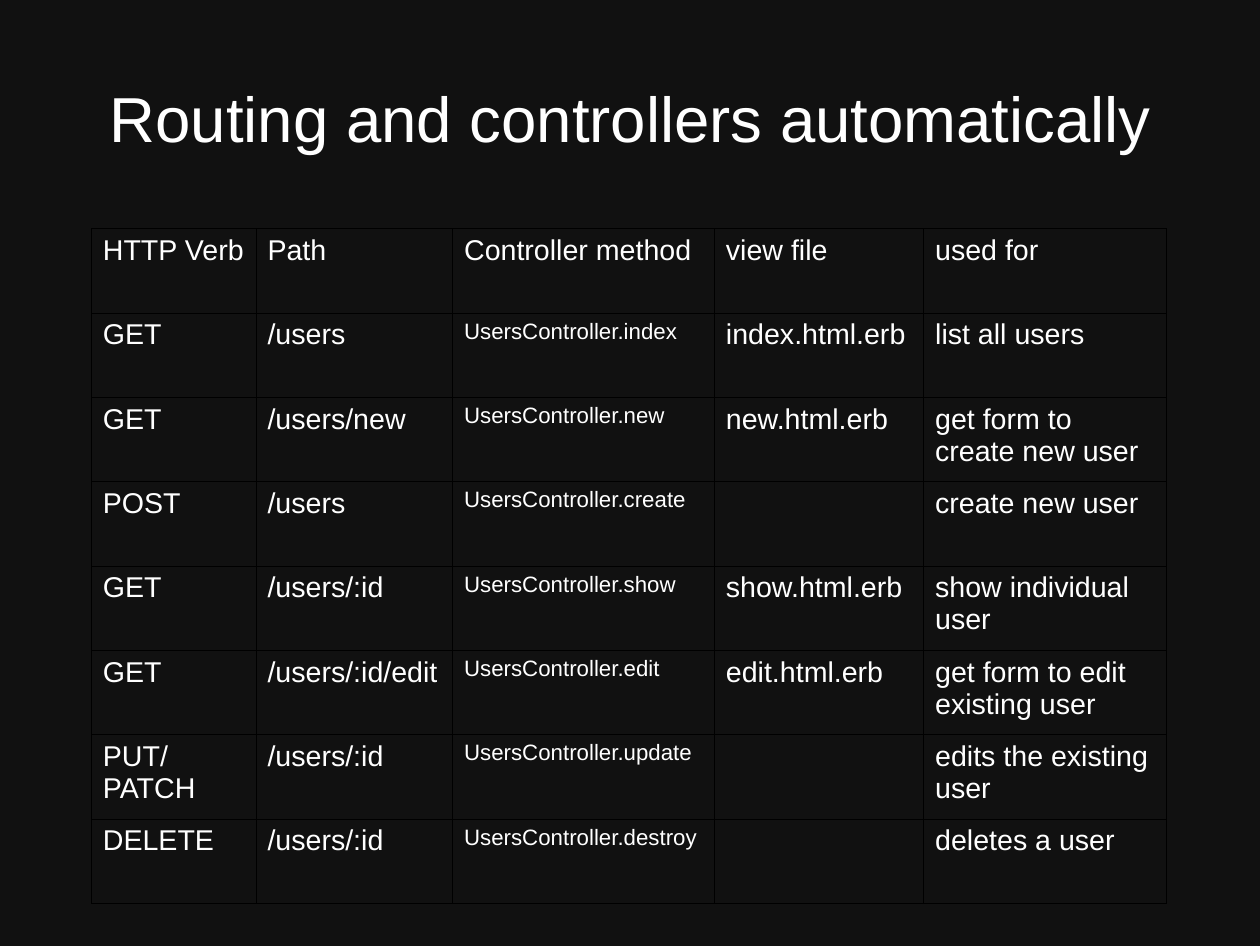
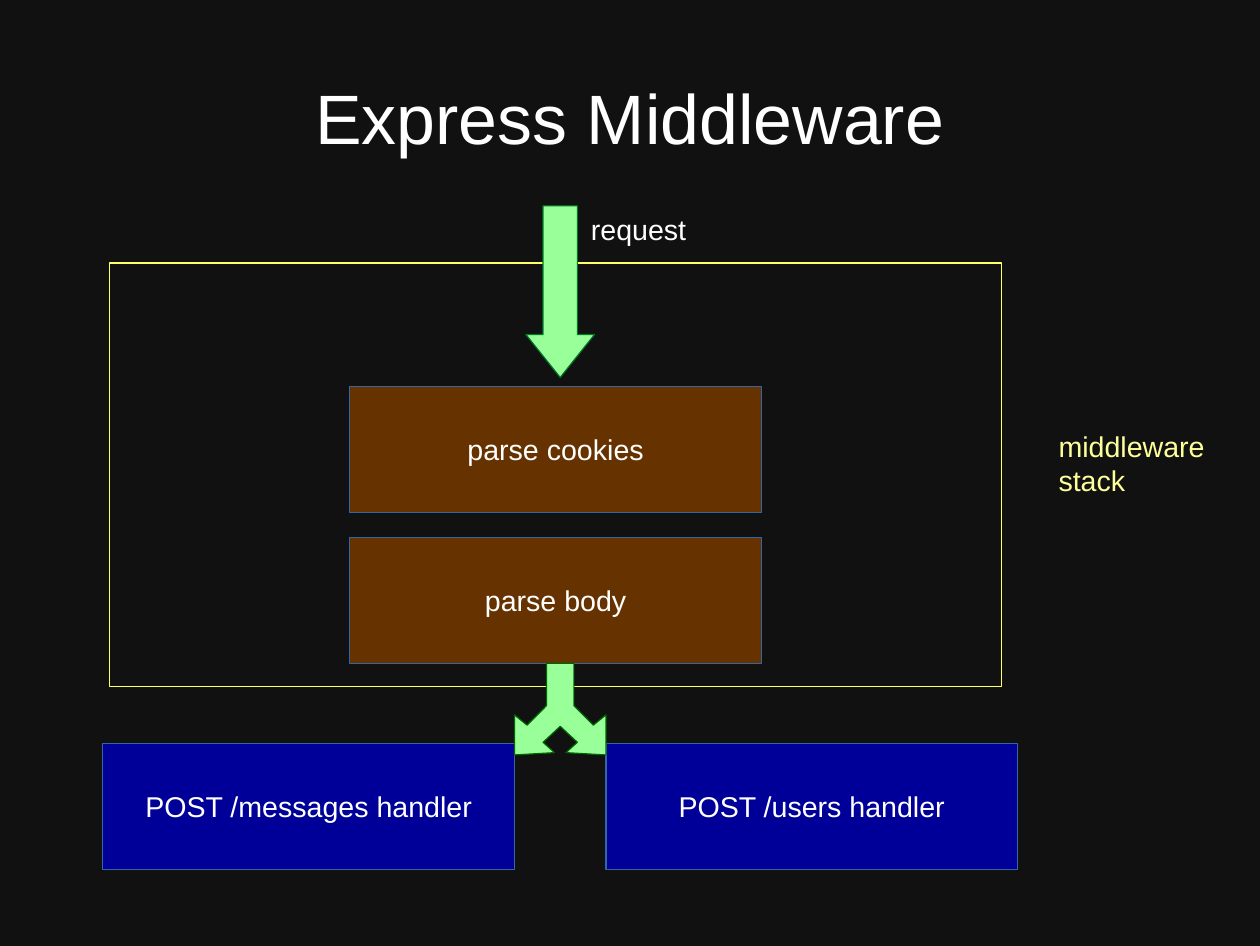
from pptx import Presentation
from pptx.dml.color import RGBColor as RGB
from pptx.enum.shapes import MSO_SHAPE as SHAPE
from pptx.enum.text import MSO_ANCHOR as ANCHOR, PP_ALIGN as ALIGN
from pptx.oxml import parse_xml
from pptx.oxml.ns import nsdecls
from pptx.util import Inches, Pt

FONT = "Arial"
COLORS = {
    "background": "111111",
    "text": "FFFFFF",
    "grid": "000000",
    "handler": "000099",
    "parser": "663300",
    "box_line": "3465A4",
    "stack_line": "FFFF66",
    "stack_text": "FFFF99",
    "arrow": "99FF99",
    "arrow_line": "007826",
    "split_line": "006600",
}

COL_WIDTHS = [1.44, 1.72, 2.29, 1.83, 2.12]
TABLE_H = 5.9
METHOD_COL = 2
ROUTES = [
    ("HTTP Verb", "Path", "Controller method", "view file", "used for"),
    ("GET", "/users", "UsersController.index", "index.html.erb", "list all users"),
    ("GET", "/users/new", "UsersController.new", "new.html.erb", "get form to create new user"),
    ("POST", "/users", "UsersController.create", "", "create new user"),
    ("GET", "/users/:id", "UsersController.show", "show.html.erb", "show individual user"),
    ("GET", "/users/:id/edit", "UsersController.edit", "edit.html.erb",
     "get form to edit existing user"),
    ("PUT/\nPATCH", "/users/:id", "UsersController.update", "", "edits the existing user"),
    ("DELETE", "/users/:id", "UsersController.destroy", "", "deletes a user"),
]

BOX_W, BOX_H = 3.6, 1.1
SPLIT_X = 4.9
SPLIT_HALF = [(0.12, 5.8), (0.12, 6.17), (0.29, 6.34), (0.4, 6.25),
              (0.4, 6.6), (0.05, 6.58), (0.15, 6.49), (0, 6.35)]


def rgb(name):
    return RGB.from_string(COLORS[name])


def write(tf, text, size=18, color="text", align=ALIGN.LEFT):
    tf.text = text
    for p in tf.paragraphs:
        p.alignment = align
        for r in p.runs:
            r.font.name = FONT
            r.font.size = Pt(size)
            r.font.color.rgb = rgb(color)


def add_slide(prs, title, size):
    s = prs.slides.add_slide(prs.slide_layouts[6])
    tf = s.shapes.add_textbox(Inches(0.55), Inches(0.33), Inches(9.92), Inches(1.38)).text_frame
    tf.word_wrap = True
    tf.vertical_anchor = ANCHOR.MIDDLE
    tf.margin_left = tf.margin_right = tf.margin_top = tf.margin_bottom = 0
    write(tf, title, size, align=ALIGN.CENTER)
    return s


def style(sp, fill, line):
    sp.shadow.inherit = False
    if fill:
        sp.fill.solid()
        sp.fill.fore_color.rgb = rgb(fill)
    else:
        sp.fill.background()
    sp.line.color.rgb = rgb(line)
    sp.line.width = Pt(0)


def add_shape(s, kind, x, y, w, h, fill, line):
    sp = s.shapes.add_shape(kind, Inches(x), Inches(y), Inches(w), Inches(h))
    style(sp, fill, line)
    return sp


def add_box(s, text, x, y, fill):
    tf = add_shape(s, SHAPE.RECTANGLE, x, y, BOX_W, BOX_H, fill, "box_line").text_frame
    tf.word_wrap = False
    tf.vertical_anchor = ANCHOR.MIDDLE
    write(tf, text, align=ALIGN.CENTER)


def add_label(s, text, x, y, w, h, color="text"):
    tf = s.shapes.add_textbox(Inches(x), Inches(y), Inches(w), Inches(h)).text_frame
    tf.word_wrap = True
    write(tf, text, color=color)


def add_split_arrow(s):
    right = [(SPLIT_X + dx, y) for dx, y in SPLIT_HALF]
    left = [(SPLIT_X - dx, y) for dx, y in reversed(SPLIT_HALF[:-1])]
    start, *rest = [(Inches(x), Inches(y)) for x, y in right + left]
    builder = s.shapes.build_freeform(*start)
    builder.add_line_segments(rest, close=True)
    style(builder.convert_to_shape(), "arrow", "split_line")


def style_cell(cell):
    tc_pr = cell._tc.get_or_add_tcPr()
    for side in "LRTB":
        tc_pr.append(parse_xml(
            f'<a:ln{side} {nsdecls("a")} w="{Pt(0.57)}"><a:solidFill>'
            f'<a:srgbClr val="{COLORS["grid"]}"/></a:solidFill></a:ln{side}>'))
    cell.fill.background()


def add_route_table(s):
    table = s.shapes.add_table(
        len(ROUTES), len(COL_WIDTHS), Inches(0.8), Inches(2),
        Inches(sum(COL_WIDTHS)), Inches(TABLE_H)).table
    table.first_row = table.horz_banding = False
    for col, width in zip(table.columns, COL_WIDTHS):
        col.width = Inches(width)
    for i, route in enumerate(ROUTES):
        table.rows[i].height = Inches(TABLE_H / len(ROUTES))
        for j, text in enumerate(route):
            cell = table.cell(i, j)
            style_cell(cell)
            write(cell.text_frame, text, 14 if i and j == METHOD_COL else 18)


def add_middleware_diagram(s):
    for text, x in (("POST /messages handler", 0.9), ("POST /users handler", 5.3)):
        add_box(s, text, x, 6.5, "handler")
    add_shape(s, SHAPE.RECTANGLE, 0.96, 2.3, 7.8, 3.7, None, "stack_line")
    add_label(s, "middleware\nstack", 9.16, 3.7, 1.7, 0.66, "stack_text")
    for text, y in (("parse cookies", 3.38), ("parse body", 4.7)):
        add_box(s, text, 3.06, y, "parser")
    arrow = add_shape(s, SHAPE.DOWN_ARROW, 4.6, 1.8, 0.6, 1.5, "arrow", "arrow_line")
    arrow.adjustments[0] = 0.5
    arrow.adjustments[1] = 0.625
    add_split_arrow(s)
    add_label(s, "request", 5.07, 1.8, 1.2, 0.38)


def main():
    prs = Presentation()
    prs.slide_width = Inches(11.02)
    prs.slide_height = Inches(8.27)
    fill = prs.slide_master.background.fill
    fill.solid()
    fill.fore_color.rgb = rgb("background")
    add_route_table(add_slide(prs, "Routing and controllers automatically", 40))
    add_middleware_diagram(add_slide(prs, "Express Middleware", 44))
    prs.save("out.pptx")


if __name__ == "__main__":
    main()
